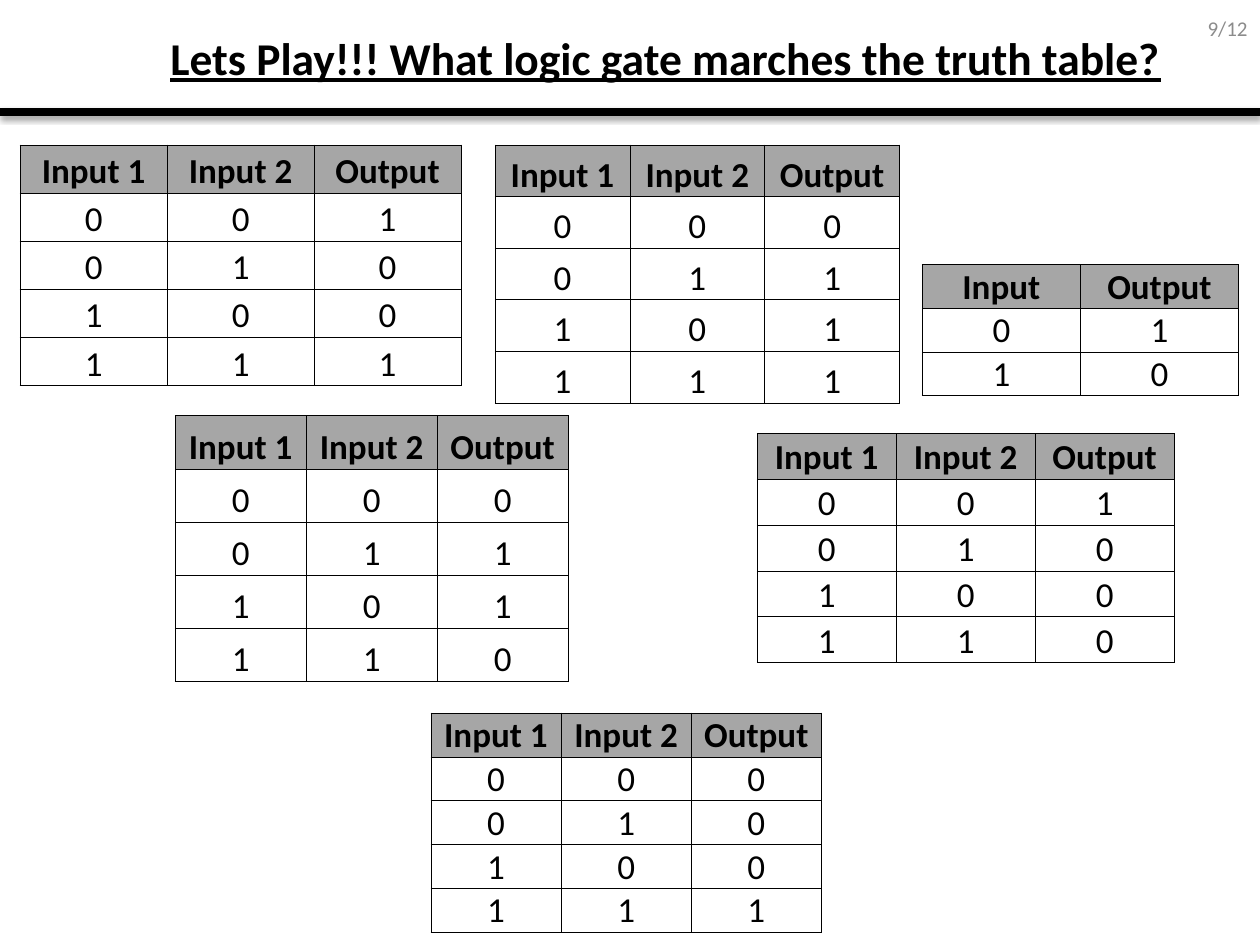
"""Build a logic gate quiz slide with six truth tables to identify."""
from lxml.etree import SubElement
from pptx import Presentation
from pptx.dml.color import RGBColor
from pptx.enum.shapes import MSO_CONNECTOR
from pptx.enum.text import MSO_ANCHOR, PP_ALIGN
from pptx.oxml import parse_xml
from pptx.oxml.ns import nsdecls, qn
from pptx.util import Inches, Pt

FONT = "Calibri"
BLACK = RGBColor(0x00, 0x00, 0x00)
WHITE = RGBColor(0xFF, 0xFF, 0xFF)
HEADER_GRAY = RGBColor(0xA6, 0xA6, 0xA6)
NUMBER_GRAY = RGBColor(0x8C, 0x8C, 0x8C)

TITLE = "Lets Play!!! What logic gate marches the truth table?"
PAGE_NUMBER = "9/12"
ONE_INPUT = ["Input", "Output"]
TWO_INPUTS = ["Input 1", "Input 2", "Output"]
TRUTH_TABLES = [
    (TWO_INPUTS, "1001", (0.16, 1.15, 3.5, 1.91)),
    (ONE_INPUT, "10", (7.32, 2.1, 2.51, 1.04)),
    (TWO_INPUTS, "0111", (3.93, 1.15, 3.21, 2.05)),
    (TWO_INPUTS, "0110", (1.39, 3.3, 3.12, 2.11)),
    (TWO_INPUTS, "1000", (6.01, 3.44, 3.31, 1.82)),
    (TWO_INPUTS, "0001", (3.42, 5.66, 3.1, 1.74)),
]


def place(shape, left, top, width, height):
    shape.left, shape.top = Inches(left), Inches(top)
    shape.width, shape.height = Inches(width), Inches(height)


def write(frame, text, size, color, align, bold=False, underline=False):
    para = frame.paragraphs[0]
    para.alignment = align
    span = para.add_run()
    span.text = text
    span.font.name = FONT
    span.font.size = Pt(size)
    span.font.bold = bold
    span.font.underline = underline
    span.font.color.rgb = color


def add_borders(cell):
    properties = cell._tc.get_or_add_tcPr()
    for side in ("lnL", "lnR", "lnT", "lnB"):
        line = SubElement(properties, qn(f"a:{side}"), w=str(Pt(0.5)))
        fill = SubElement(line, qn("a:solidFill"))
        SubElement(fill, qn("a:srgbClr"), val=str(BLACK))


def format_cell(cell, text, is_header):
    cell.margin_left = cell.margin_right = cell.margin_top = Inches(0.01)
    cell.margin_bottom = 0
    cell.vertical_anchor = MSO_ANCHOR.BOTTOM
    add_borders(cell)
    cell.fill.solid()
    cell.fill.fore_color.rgb = HEADER_GRAY if is_header else WHITE
    write(cell.text_frame, text, 20, BLACK, PP_ALIGN.CENTER, bold=is_header)


def add_truth_table(page, headers, outputs, area):
    inputs = len(headers) - 1
    rows = [headers] + [
        list(f"{number:0{inputs}b}") + [output]
        for number, output in enumerate(outputs)
    ]
    left, top, width, height = map(Inches, area)
    table = page.shapes.add_table(
        len(rows), len(headers), left, top, width, height
    ).table
    table.first_row = False
    table.horz_banding = False
    for row_index, row in enumerate(rows):
        for column_index, text in enumerate(row):
            format_cell(table.cell(row_index, column_index), text, row_index == 0)


def add_title_rule(page):
    rule = page.shapes.add_connector(
        MSO_CONNECTOR.STRAIGHT, 0, Inches(0.89), Inches(10), Inches(0.89)
    )
    rule.line.color.rgb = BLACK
    rule.line.width = Pt(4.5)
    rule._element.spPr.append(parse_xml(
        f'<a:effectLst {nsdecls("a")}>'
        f'<a:outerShdw blurRad="{Pt(3.1)}" dist="{Pt(1.6)}" dir="5400000" rotWithShape="0">'
        f'<a:srgbClr val="{BLACK}"><a:alpha val="38000"/></a:srgbClr>'
        '</a:outerShdw></a:effectLst>'
    ))


def main():
    deck = Presentation()
    deck.slide_width, deck.slide_height = Inches(10), Inches(7.5)
    page = deck.slides.add_slide(deck.slide_layouts[5])

    title = page.shapes.title
    place(title, 1.07, -0.06, 8.43, 1.03)
    title.text_frame.vertical_anchor = MSO_ANCHOR.MIDDLE
    write(title.text_frame, TITLE, 26, BLACK, PP_ALIGN.CENTER, bold=True, underline=True)

    number_box = page.shapes.add_textbox(0, 0, 0, 0)
    place(number_box, 7.67, 0.02, 2.33, 0.4)
    number_box.text_frame.word_wrap = True
    number_box.text_frame.vertical_anchor = MSO_ANCHOR.MIDDLE
    write(number_box.text_frame, PAGE_NUMBER, 12, NUMBER_GRAY, PP_ALIGN.RIGHT)

    for headers, outputs, area in TRUTH_TABLES:
        add_truth_table(page, headers, outputs, area)
    add_title_rule(page)
    deck.save("out.pptx")


if __name__ == "__main__":
    main()
